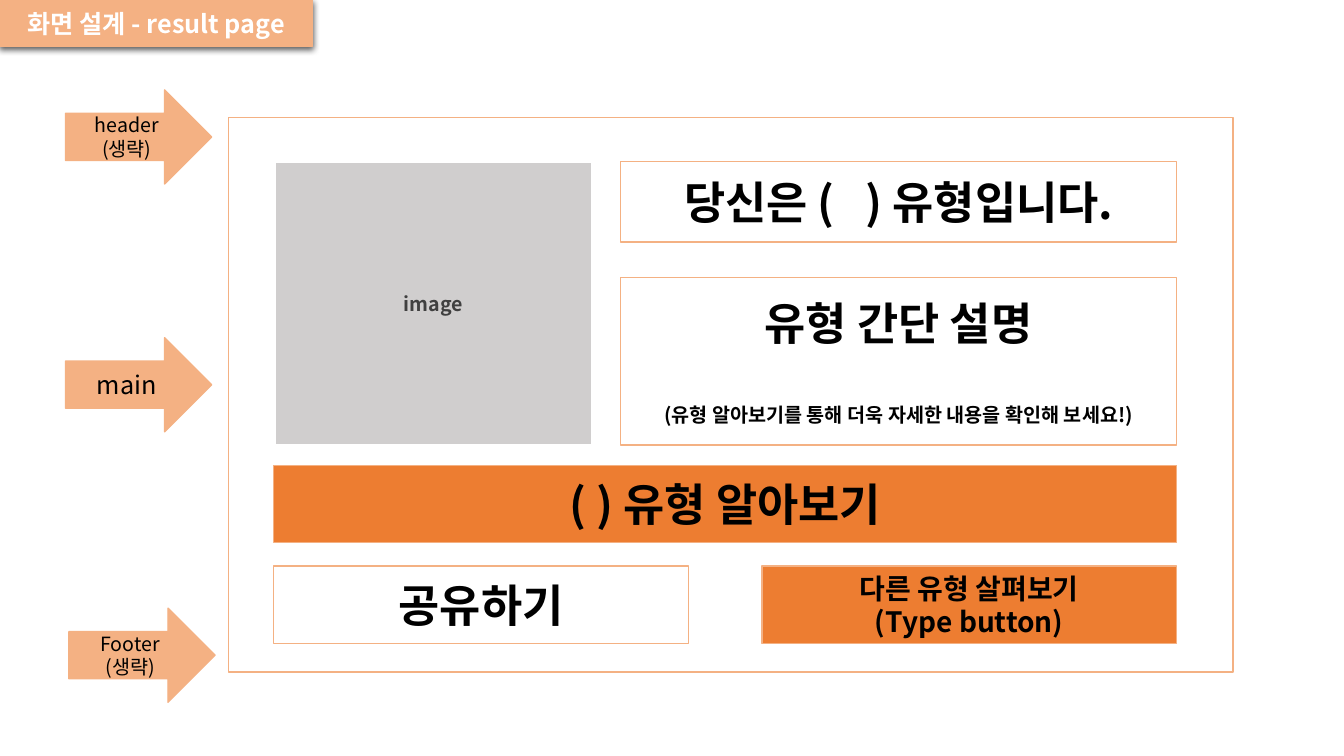
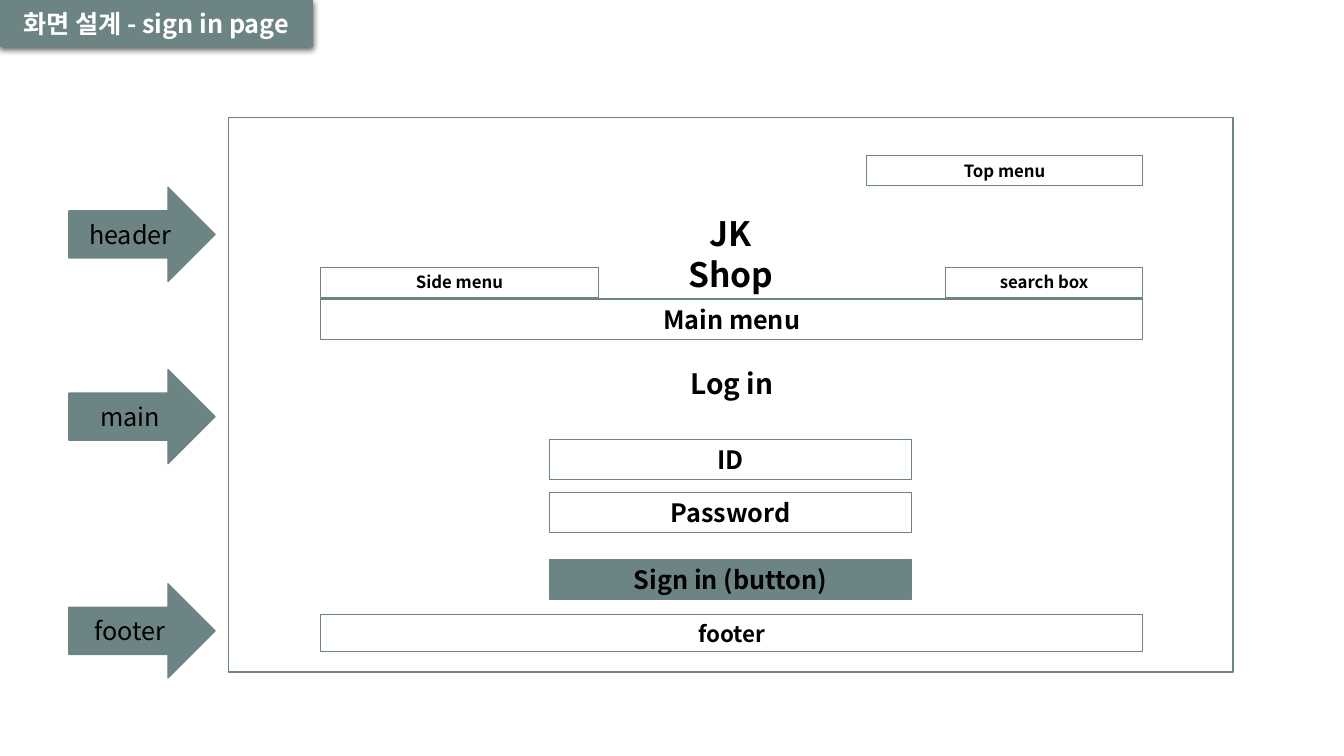
from lxml import etree
from pptx import Presentation
from pptx.dml.color import RGBColor
from pptx.enum.shapes import MSO_SHAPE
from pptx.enum.text import MSO_ANCHOR, MSO_AUTO_SIZE, PP_ALIGN
from pptx.oxml.ns import qn
from pptx.util import Emu, Pt

RECTANGLE, ARROW = MSO_SHAPE.RECTANGLE, MSO_SHAPE.RIGHT_ARROW
TOP, MIDDLE = MSO_ANCHOR.TOP, MSO_ANCHOR.MIDDLE
FIT, CENTER = MSO_AUTO_SIZE.SHAPE_TO_FIT_TEXT, PP_ALIGN.CENTER

COLUMNS, ROWS, CELL = 160, 90, 76200
FONT = "Noto Sans CJK KR"
PEACH, ORANGE, SAGE = "F4B183", "ED7D31", "6C8484"
WHITE, BLACK, GRAY, CHARCOAL = "FFFFFF", "000000", "D0CECE", "404040"

TAB = (0, 0, 37.2, 5.5)
FRAME = (27.2, 14, 119.6, 66)
ARROW_SIZE = (17.4, 11.2)


def grid(*cells):
    """Turn grid cells into slide lengths."""
    return [Emu(round(cell * CELL)) for cell in cells]


def color(hex_code):
    """Turn a hex string into a colour."""
    return RGBColor.from_string(hex_code)


def paint(box, fill, line, weight):
    """Set the fill and outline of a shape."""
    box.shadow.inherit = False
    if fill:
        box.fill.solid()
        box.fill.fore_color.rgb = color(fill)
    else:
        box.fill.background()
    if line:
        box.line.color.rgb = color(line)
        box.line.width = Pt(weight)
    else:
        box.line.fill.background()


def write(box, lines, ink=BLACK, bold=True, gap=0):
    """Write (text, size) lines, with a gap in points between them."""
    frame = box.text_frame
    frame.word_wrap = True
    for index, (text, size) in enumerate(lines):
        para = frame.add_paragraph() if index else frame.paragraphs[0]
        para.alignment = CENTER
        para.space_before = Pt(gap if index else 0)
        span = para.add_run()
        span.text = text
        for name, value in {"name": FONT, "size": Pt(size), "bold": bold}.items():
            setattr(span.font, name, value)
        span.font.color.rgb = color(ink)
        east_asian = etree.SubElement(span.font._element, qn("a:ea"))
        east_asian.set("typeface", FONT)


def add_block(page, place, lines=(), fill=WHITE, line=PEACH, weight=1,
              kind=RECTANGLE, **style):
    """Add a shape with vertically centred text."""
    block = page.shapes.add_shape(kind, *grid(*place))
    paint(block, fill, line, weight)
    block.text_frame.vertical_anchor = MIDDLE
    write(block, lines, **style)
    return block


def add_field(page, place, text, size, fill=None, line=SAGE):
    """Add a box that fits its single line of text."""
    field = page.shapes.add_textbox(*grid(*place))
    paint(field, fill, line, 0.75)
    field.text_frame.vertical_anchor = TOP
    write(field, [(text, size)])
    field.text_frame.auto_size = FIT


def add_arrow(page, left, top, lines, theme):
    """Add an arrow that labels a section of the screen."""
    add_block(page, (left, top, *ARROW_SIZE), lines, theme, theme,
              kind=ARROW, bold=False)


def add_shadow(box):
    """Cast a soft shadow below a shape."""
    effects = box._element.spPr.find(qn("a:effectLst"))
    shadow = etree.SubElement(effects, qn("a:outerShdw"), blurRad=str(Pt(4.5)),
                              dist=str(Pt(1.5)), dir="5400000", algn="t",
                              rotWithShape="0")
    shade = etree.SubElement(shadow, qn("a:srgbClr"), val=BLACK)
    etree.SubElement(shade, qn("a:alpha"), val="63000")


def add_page(deck, title, theme):
    """Add a page with its title tab and screen frame."""
    page = deck.slides.add_slide(deck.slide_layouts[6])
    tab = add_block(page, TAB, [(title, 18)], theme, theme, 0.75, ink=WHITE)
    add_shadow(tab)
    add_block(page, FRAME, line=theme)
    return page


def build_result_page(deck):
    """Lay out the result screen."""
    page = add_page(deck, "화면 설계 - result page", PEACH)
    left, middle, half, wide = 32.6, 73.9, 49.4, 107.5
    right = left + wide
    column = right - middle
    button_row, button_height = 67.4, 9.2
    add_block(page, (32.8, 19.3, 37.6, 33.7), [("image", 14)], GRAY, WHITE,
              ink=CHARCOAL)
    add_block(page, (middle, 19.2, column, 9.6), [("당신은 (   ) 유형입니다.", 32)])
    add_block(page, (middle, 33, column, 20),
              [("유형 간단 설명", 32),
               ("(유형 알아보기를 통해 더욱 자세한 내용을 확인해 보세요!)", 14)], gap=38)
    add_block(page, (left, 55.4, wide, button_height),
              [("( ) 유형 알아보기", 32)], ORANGE)
    add_block(page, (left, button_row, half, button_height), [("공유하기", 32)])
    add_block(page, (right - half, button_row, half, button_height),
              [("다른 유형 살펴보기", 20), ("(Type button)", 20)], ORANGE)
    for arrow_left, top, lines in (
            (7.8, 40.2, [("main", 18)]),
            (7.8, 10.7, [("header", 14), ("(생략)", 14)]),
            (8.2, 72.4, [("Footer", 14), ("(생략)", 14)])):
        add_arrow(page, arrow_left, top, lines, PEACH)


def build_sign_in_page(deck):
    """Lay out the sign-in screen."""
    page = add_page(deck, "화면 설계 - sign in page", SAGE)
    for top, label in ((22.3, "header"), (44, "main"), (69.5, "footer")):
        add_arrow(page, 8.2, top, [(label, 18)], SAGE)
    left, wide = 38.2, 97.8
    right = left + wide
    for place, text, size in (
            ((78, 24.8, 18, 6), "JK Shop", 24),
            ((79.7, 43.1, 14.9, 5.3), "Log in", 20)):
        add_field(page, place, text, size, line=None)
    for place, text, size in (
            ((right - 32.8, 18.5, 32.8, 3.6), "Top menu", 12),
            ((right - 23.4, 31.8, 23.4, 3.6), "search box", 12),
            ((left, 31.8, 33, 3.6), "Side menu", 12),
            ((left, 35.6, wide, 4.8), "Main menu", 18),
            ((left, 73.2, wide, 4.4), "footer", 16)):
        add_field(page, place, text, size)
    for top, text, fill in ((52.3, "ID", None), (58.6, "Password", None),
                            (66.6, "Sign in (button)", SAGE)):
        add_field(page, (65.4, top, 43.1, 4.8), text, 18, fill)


def main():
    """Build and save the deck."""
    deck = Presentation()
    deck.slide_width, deck.slide_height = grid(COLUMNS, ROWS)
    build_result_page(deck)
    build_sign_in_page(deck)
    deck.save("out.pptx")


if __name__ == "__main__":
    main()
